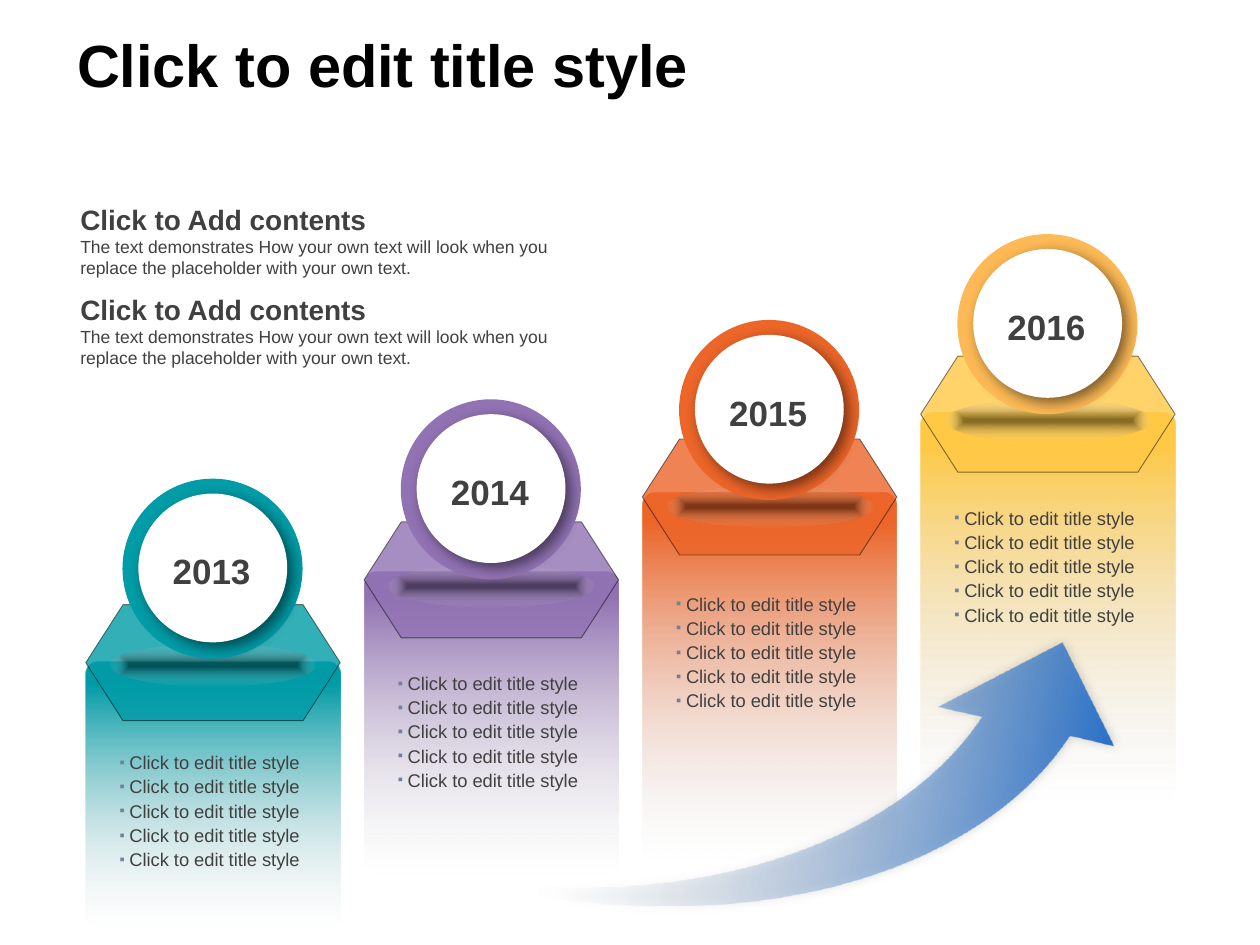
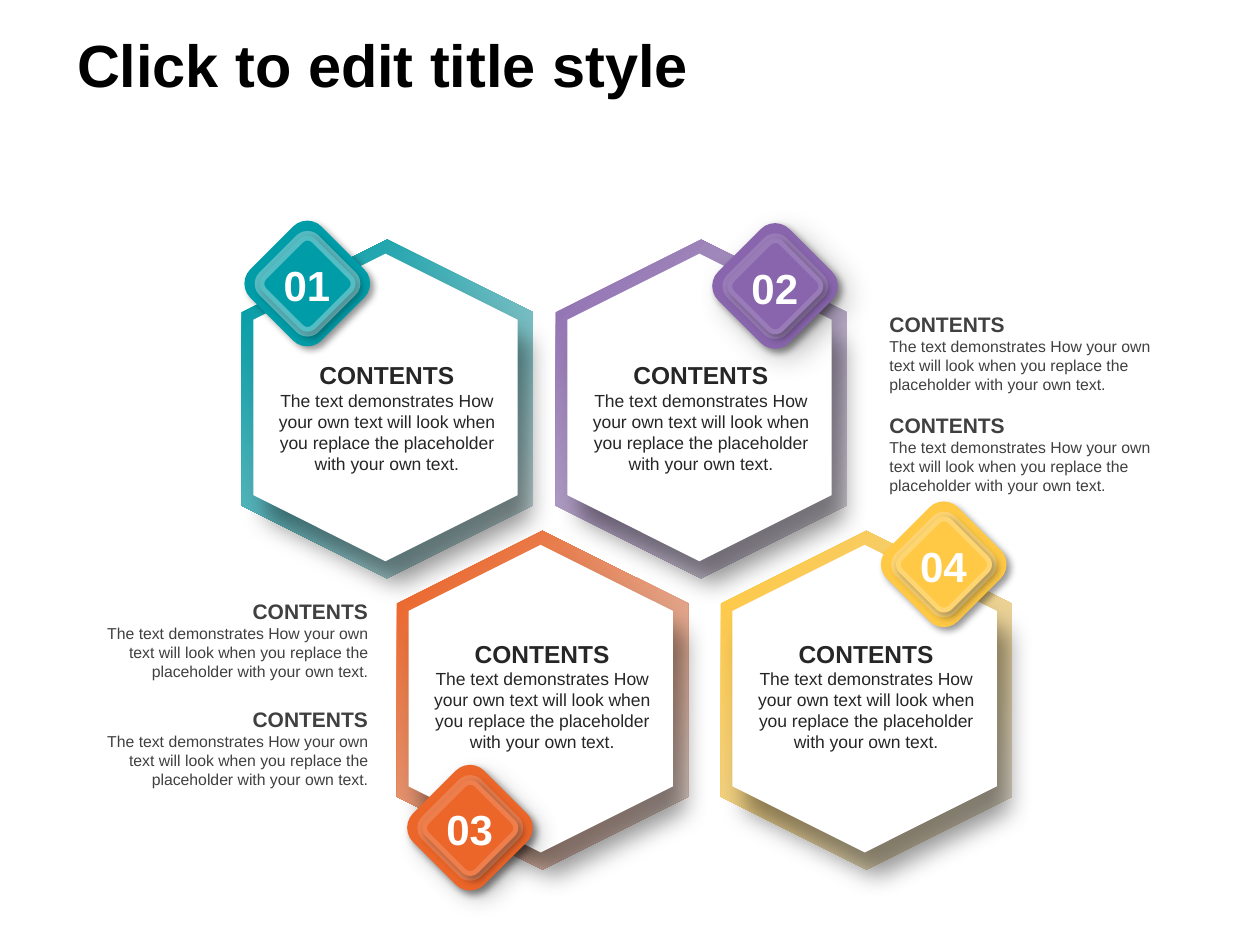
import math
from dataclasses import dataclass

import lxml.etree
import pptx
import pptx.dml.color
import pptx.enum.shapes
import pptx.enum.text
import pptx.oxml.ns
import pptx.util

Cm = pptx.util.Cm
Pt = pptx.util.Pt
qn = pptx.oxml.ns.qn
Kind = pptx.enum.shapes.MSO_SHAPE
Align = pptx.enum.text.PP_ALIGN
Anchor = pptx.enum.text.MSO_ANCHOR


@dataclass(frozen=True)
class Theme:
    font: str = "Arial"
    teal: str = "009CA7"
    plum: str = "9172B3"
    grape: str = "8865AC"
    rust: str = "EC6529"
    gold: str = "FFC945"
    amber: str = "FCB955"
    blue: str = "226CC7"
    fade: str = "D9D9D9"
    slate: str = "708099"
    steel: str = "8C9EAC"
    stone: str = "75858D"
    ink: str = "404040"
    dark: str = "262626"
    black: str = "000000"
    white: str = "FFFFFF"
    title: float = 34
    badge: float = 24
    year: float = 20
    lead: float = 16
    card: float = 14
    note: float = 12
    list: float = 10.5
    body: float = 10
    small: float = 9


THEME = Theme()
TITLE = "Click to edit title style"
BODY = ("The text demonstrates How your own text will look when you "
        "replace the placeholder with your own text.")


def rgb(code):
    return pptx.dml.color.RGBColor.from_string(code)


def node(base, tag, **attrs):
    item = lxml.etree.SubElement(base, qn("a:" + tag))
    for key, value in attrs.items():
        item.set(key, str(value))
    return item


def tint(base, code, alpha=100):
    color = node(base, "srgbClr", val=code)
    if alpha < 100:
        node(color, "alpha", val=alpha * 1000)


def clear(base, alpha):
    color = base.find(qn("a:solidFill")).find(qn("a:srgbClr"))
    node(color, "alpha", val=alpha * 1000)


def write(frame, text, size, color=THEME.ink, bold=False, align=Align.LEFT,
          first=True, space=None, bullet=None):
    para = frame.paragraphs[0] if first else frame.add_paragraph()
    if bullet:
        props = para._p.get_or_add_pPr()
        props.set("marL", str(Cm(0.2)))
        props.set("indent", str(Cm(-0.2)))
        tint(node(props, "buClr"), THEME.slate)
        node(props, "buSzPct", val=80000)
        node(props, "buFont", typeface=THEME.font)
        node(props, "buChar", char=bullet)
    para.alignment = align
    if space:
        para.line_spacing = space
    run = para.add_run()
    run.text = text
    run.font.name = THEME.font
    run.font.size = Pt(size)
    run.font.bold = bold
    run.font.color.rgb = rgb(color)


def curve(start, one, two, end, count=32):
    for step in range(1, count + 1):
        t = step / count
        yield tuple((1 - t) ** 3 * a + 3 * (1 - t) ** 2 * t * b
                    + 3 * (1 - t) * t ** 2 * c + t ** 3 * d
                    for a, b, c, d in zip(start, one, two, end))


def turn(point, mid, angle):
    rad = math.radians(angle)
    x, y = point[0] - mid[0], point[1] - mid[1]
    return (Cm(mid[0] + x * math.cos(rad) - y * math.sin(rad)),
            Cm(mid[1] + x * math.sin(rad) + y * math.cos(rad)))


class Deck:
    def __init__(self, theme):
        self.theme = theme
        self.file = pptx.Presentation()
        self.file.slide_width = Cm(25.4)
        self.file.slide_height = Cm(19.05)
        self.slide = None

    def page(self, text):
        self.slide = self.file.slides.add_slide(self.file.slide_layouts[5])
        title = self.slide.shapes.title
        title.left, title.top = Cm(1.3), Cm(0)
        title.width, title.height = Cm(17.42), Cm(2.57)
        title.text_frame.vertical_anchor = Anchor.MIDDLE
        write(title.text_frame, text, self.theme.title, self.theme.black, True)

    def shape(self, kind, x, y, w, h, rot=0, adjust=(), **style):
        item = self.slide.shapes.add_shape(kind, Cm(x), Cm(y), Cm(w), Cm(h))
        item.rotation = rot
        for index, value in enumerate(adjust):
            item.adjustments[index] = value
        self.dress(item, **style)

    def dress(self, item, fill=None, alpha=100, stops=None, angle=None,
              edge=None, shade=None):
        props = item.element.spPr
        if stops:
            item.fill.background()
            grad = lxml.etree.Element(qn("a:gradFill"), rotWithShape="1")
            group = node(grad, "gsLst")
            for place, code, level in stops:
                tint(node(group, "gs", pos=place * 1000), code, level)
            if angle is None:
                way = node(grad, "path", path="shape")
                node(way, "fillToRect", l=50000, t=50000, r=50000, b=50000)
            else:
                node(grad, "lin", ang=angle * 60000, scaled=0)
            props.replace(props.find(qn("a:noFill")), grad)
        else:
            item.fill.solid()
            item.fill.fore_color.rgb = rgb(fill)
            if alpha < 100:
                clear(props, alpha)
        if edge:
            code, width, level = edge
            item.line.color.rgb = rgb(code)
            item.line.width = Pt(width)
            clear(props.find(qn("a:ln")), level)
        else:
            item.line.fill.background()
        item.shadow.inherit = False
        if shade:
            level, blur, dist, way = shade
            cast = node(props.find(qn("a:effectLst")), "outerShdw",
                        blurRad=Pt(blur), dist=Pt(dist), dir=way * 60000,
                        algn="ctr", rotWithShape=0)
            tint(cast, self.theme.black, level)

    def frame(self, x, y, w, h, wrap=True):
        box = self.slide.shapes.add_textbox(Cm(x), Cm(y), Cm(w), Cm(h))
        box.text_frame.word_wrap = wrap
        return box.text_frame

    def label(self, text, x, y, w, h, wrap=True, **style):
        write(self.frame(x, y, w, h, wrap), text, bold=True, **style)

    def block(self, head, x, y, w, h, size, body, **style):
        frame = self.frame(x, y, w, h)
        write(frame, head, size, bold=True, **style)
        write(frame, BODY, body, first=False, **style)

    def items(self, x, y):
        frame = self.frame(x, y, 4.24, 2.72, wrap=False)
        for index in range(5):
            write(frame, TITLE, self.theme.list, align=Align.JUSTIFY,
                  first=index == 0, space=1.1, bullet="▪")

    def arrow(self, points, mid, rot, **style):
        spots = [turn(point, mid, -rot) for point in points]
        maker = self.slide.shapes.build_freeform(*spots[0], scale=1.0)
        maker.add_line_segments(spots[1:], close=True)
        item = maker.convert_to_shape()
        item.rotation = rot
        self.dress(item, **style)

    def step(self, x, ring, lid, top, tall, color, rim, year):
        theme = self.theme
        self.shape(Kind.ROUNDED_RECTANGLE, x, top, 5.13, tall, adjust=[0.05],
                   stops=[(8, color, 100), (100, theme.fade, 0)], angle=90)
        self.shape(Kind.HEXAGON, x, lid, 5.13, 3, adjust=[0.25, 0.9],
                   fill=color, alpha=80, edge=(theme.black, 0.5, 50))
        self.items(x + 0.43, ring + 5.33)
        self.shape(Kind.OVAL, x + 0.48, ring + 3.33, 4.17, 0.86,
                   stops=[(8, theme.black, 46), (100, theme.white, 0)])
        self.shape(Kind.OVAL, x + 0.74, ring, 3.63, 3.63, fill=rim)
        self.shape(Kind.OVAL, x + 1.06, ring + 0.3, 3, 3, fill=theme.white,
                   shade=(50, 8, 4, 45))
        self.label(year, x + 1.5, ring + 1.31, 2.11, 1.12, wrap=False,
                   size=theme.year)

    def cell(self, x, y, color):
        theme = self.theme
        self.shape(Kind.HEXAGON, x, y, 6.83, 5.87, rot=90,
                   stops=[(8, color, 100), (100, theme.fade, 100)], angle=315)
        self.shape(Kind.HEXAGON, x + 0.28, y + 0.24, 6.2, 5.33, rot=90,
                   fill=theme.white, shade=(41, 14, 15, 62))

    def badge(self, text, x, y, color, level):
        theme = self.theme
        shade = (40, 4, 3, 45)
        self.shape(Kind.ROUNDED_RECTANGLE, x, y, 2.03, 2.03, rot=315,
                   adjust=[0.2], fill=color, shade=shade)
        self.shape(Kind.ROUNDED_RECTANGLE, x + 0.27, y + 0.27, 1.5, 1.5,
                   rot=315, adjust=[0.15], fill=color,
                   edge=(theme.white, 5.5, level), shade=shade)
        self.label(text, x - 0.03, y + 0.41, 2.08, 1.27, size=theme.badge,
                   color=theme.white, align=Align.CENTER)


def growth(deck):
    theme = deck.theme
    deck.page(TITLE)
    steps = [
        ("2013", theme.teal, theme.teal, 9.65, 13.34, 5.38),
        ("2014", theme.plum, theme.plum, 8.05, 11.53, 6.1),
        ("2015", theme.rust, theme.rust, 6.45, 9.93, 7.42),
        ("2016", theme.gold, theme.amber, 4.72, 8.31, 7.85),
    ]
    for index, (year, color, rim, ring, top, tall) in enumerate(steps):
        deck.step(1.73 + 5.61 * index, ring, 11.86 - 1.67 * index, top, tall,
                  color, rim, year)
    for y in (3.96, 5.77):
        deck.block("Click to Add contents", 1.37, y, 10.87, 1.8,
                   theme.lead, theme.body)
    tail, neck, heel = (9.14, 17.68), (19.79, 14.45), (21.56, 14.83)
    points = [
        tail,
        *curve(tail, (13.74, 18.42), (18.01, 17.12), neck),
        (18.9, 14.25), (21.41, 12.95), (22.45, 15.04), heel,
        *curve(heel, (19.66, 17.7), (14.91, 18.95), (10.01, 17.88)),
        (8.26, 17.5),
    ]
    deck.arrow(points, (15.54, 15.39), 12.3, angle=180, shade=(20, 6, 0, 315),
               stops=[(8, theme.blue, 100), (75, theme.fade, 0)])


def cells(deck):
    theme = deck.theme
    deck.page(TITLE)
    grid = [
        ("01", 4.39, 5.31, 7.14, theme.teal, theme.teal, 5.18, 4.7, 32, None),
        ("02", 10.72, 5.31, 7.14, theme.plum, theme.grape, 14.61, 4.75, 15,
         (theme.steel, 20, 8)),
        ("03", 7.52, 11.18, 12.75, theme.rust, theme.rust, 8.46, 15.67, 17,
         (theme.stone, 16, 7)),
        ("04", 14.05, 11.18, 12.75, theme.gold, theme.gold, 18.01, 10.36, 24,
         None),
    ]
    for _, x, y, _, color, _, left, top, _, base in grid:
        deck.cell(x, y, color)
        if base:
            code, blur, dist = base
            deck.shape(Kind.ROUNDED_RECTANGLE, left + 0.12, top + 0.12, 1.8,
                       1.8, rot=45, fill=code, shade=(40, blur, dist, 45))
    for text, x, _, y, _, color, left, top, level, _ in grid:
        deck.block("CONTENTS", x + 0.96, y, 4.9, 2.57, theme.card, theme.body,
                   color=theme.dark, align=Align.CENTER)
        deck.badge(text, left, top, color, level)
    for x, tops, align in ((17.68, (6.15, 8.2), Align.LEFT),
                           (1.75, (11.94, 14.12), Align.RIGHT)):
        for y in tops:
            deck.block("CONTENTS", x, y, 5.92, 2.26, theme.note, theme.small,
                       align=align)


def main():
    deck = Deck(THEME)
    growth(deck)
    cells(deck)
    deck.file.save("out.pptx")


if __name__ == "__main__":
    main()
